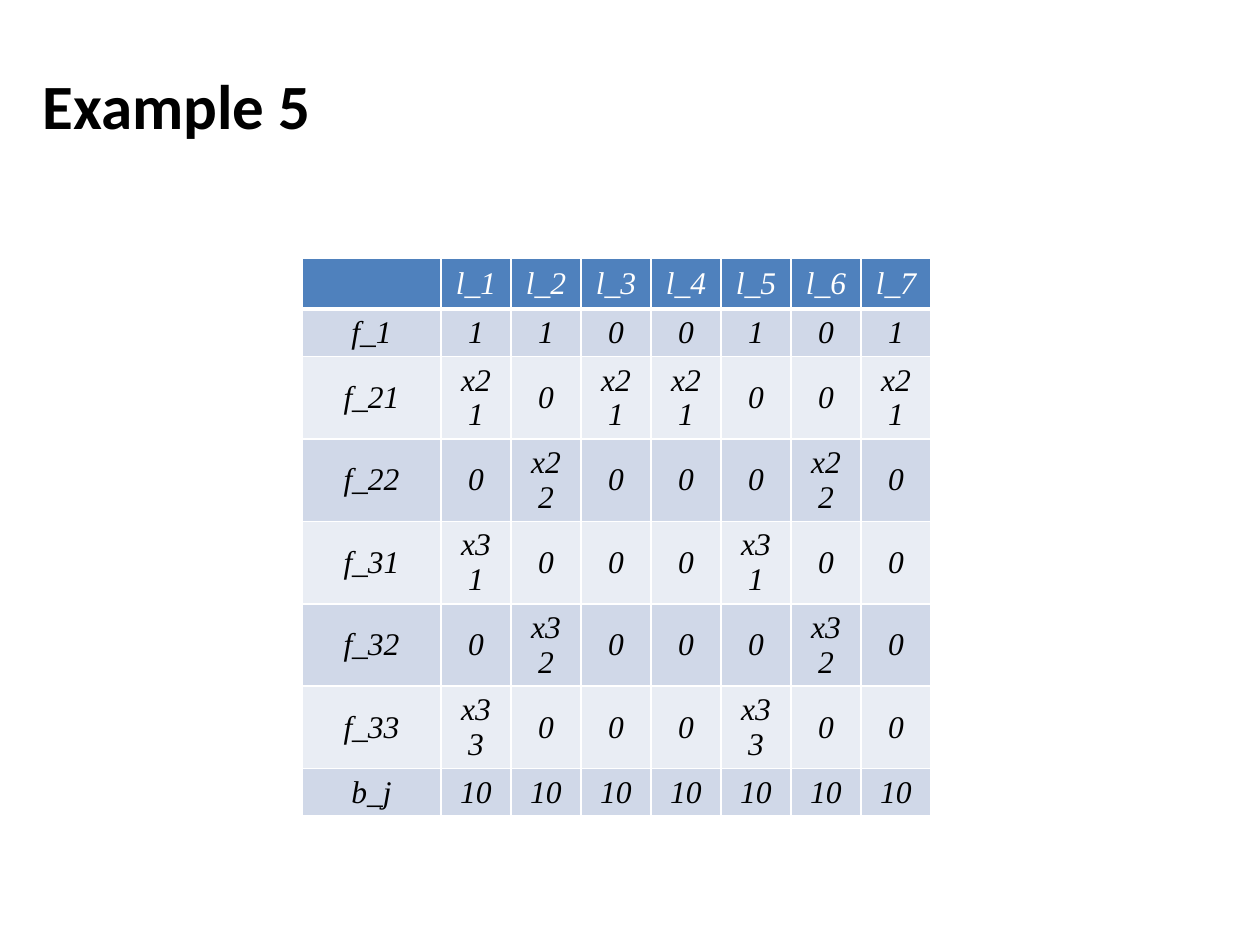
from lxml.etree import SubElement
from pptx import Presentation
from pptx.dml.color import RGBColor
from pptx.enum.text import MSO_ANCHOR, MSO_AUTO_SIZE, PP_ALIGN
from pptx.oxml.ns import qn
from pptx.util import Pt

PX = 914400 // 126
WHITE = RGBColor(0xFF, 0xFF, 0xFF)
BLACK = RGBColor(0x00, 0x00, 0x00)
HEADER_BLUE = RGBColor(0x4F, 0x81, 0xBD)
BANDS = (RGBColor(0xE9, 0xED, 0xF4), RGBColor(0xD0, 0xD8, 0xE8))

COEFFICIENTS = [
    ["", "l_1", "l_2", "l_3", "l_4", "l_5", "l_6", "l_7"],
    ["f_1", "1", "1", "0", "0", "1", "0", "1"],
    ["f_21", "x21", "0", "x21", "x21", "0", "0", "x21"],
    ["f_22", "0", "x22", "0", "0", "0", "x22", "0"],
    ["f_31", "x31", "0", "0", "0", "x31", "0", "0"],
    ["f_32", "0", "x32", "0", "0", "0", "x32", "0"],
    ["f_33", "x33", "0", "0", "0", "x33", "0", "0"],
    ["b_j"] + ["10"] * 7,
]


def scaled(*lengths):
    return [length * PX for length in lengths]


def add_run(paragraph, text, font_name, size, color, bold=False, italic=False):
    run = paragraph.add_run()
    run.text = text
    run.font.name = font_name
    run.font.size = Pt(size)
    run.font.color.rgb = color
    run.font.bold = bold
    run.font.italic = italic


def add_heading(slide, box):
    heading = slide.shapes.add_textbox(*scaled(*box)).text_frame
    heading.word_wrap = False
    heading.auto_size = MSO_AUTO_SIZE.SHAPE_TO_FIT_TEXT
    add_run(heading.paragraphs[0], "Example 5", "Calibri", 36, BLACK, bold=True)


def set_borders(cell, bottom_width):
    properties = cell._tc.get_or_add_tcPr()
    for side, width in (("L", 1), ("R", 1), ("T", 1), ("B", bottom_width)):
        border = SubElement(properties, qn(f"a:ln{side}"), w=str(Pt(width)))
        fill = SubElement(border, qn("a:solidFill"))
        SubElement(fill, qn("a:srgbClr"), val=str(WHITE))


def add_coefficients(slide, box, label_width, row_height):
    row_count, column_count = len(COEFFICIENTS), len(COEFFICIENTS[0])
    table = slide.shapes.add_table(row_count, column_count, *scaled(*box)).table
    table.first_row = False
    table.horz_banding = False
    value_width = (box[2] - label_width) // (column_count - 1)
    for index, column in enumerate(table.columns):
        column.width = (value_width if index else label_width) * PX
    for index, (row, values) in enumerate(zip(table.rows, COEFFICIENTS)):
        row.height = row_height * PX
        is_header = index == 0
        for cell, value in zip(row.cells, values):
            set_borders(cell, 3 if is_header else 1)
            cell.fill.solid()
            cell.fill.fore_color.rgb = HEADER_BLUE if is_header else BANDS[index % 2]
            cell.vertical_anchor = MSO_ANCHOR.MIDDLE
            paragraph = cell.text_frame.paragraphs[0]
            paragraph.alignment = PP_ALIGN.CENTER
            if value:
                add_run(paragraph, value, "Times New Roman", 18,
                        WHITE if is_header else BLACK, italic=True)


def main():
    presentation = Presentation()
    presentation.slide_width, presentation.slide_height = scaled(1260, 945)
    slide = presentation.slides.add_slide(presentation.slide_layouts[6])
    add_coefficients(slide, (302, 258, 629, 403), label_width=139, row_height=47)
    add_heading(slide, (30, 60, 297, 89))
    presentation.save("out.pptx")


if __name__ == "__main__":
    main()
